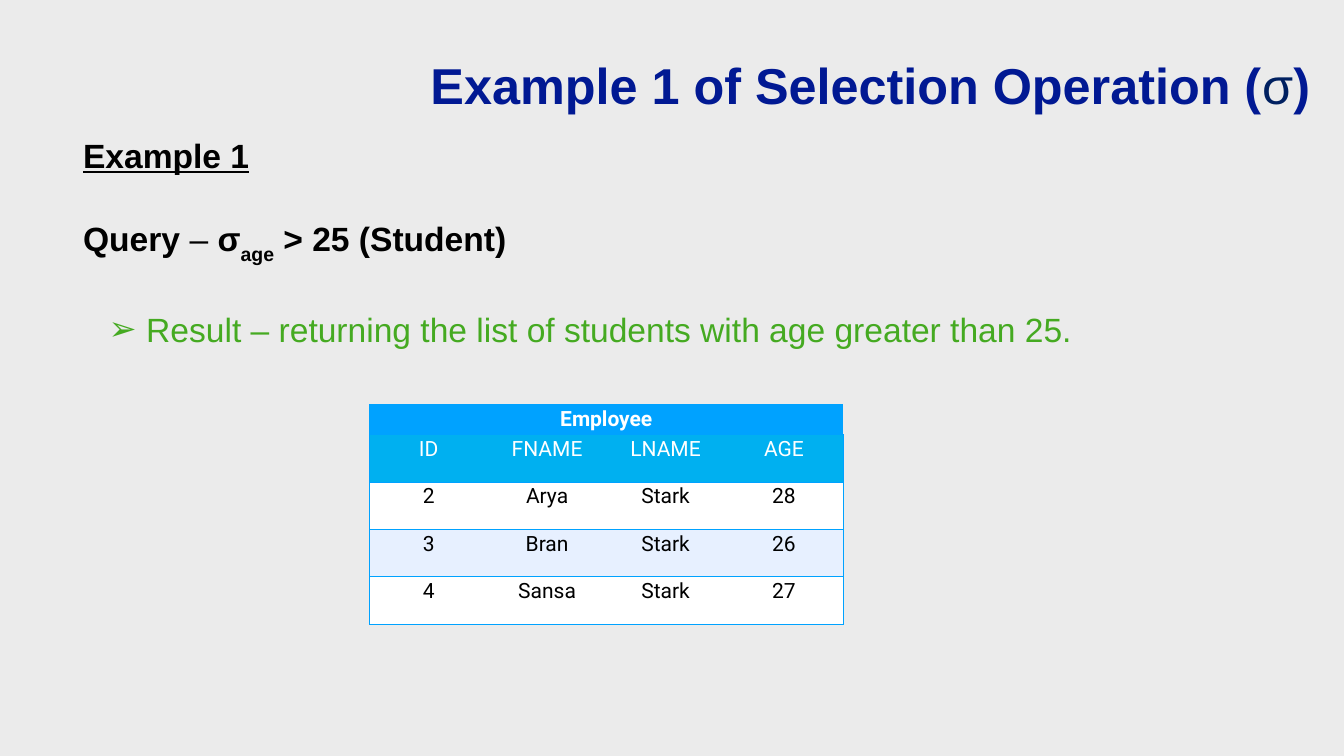
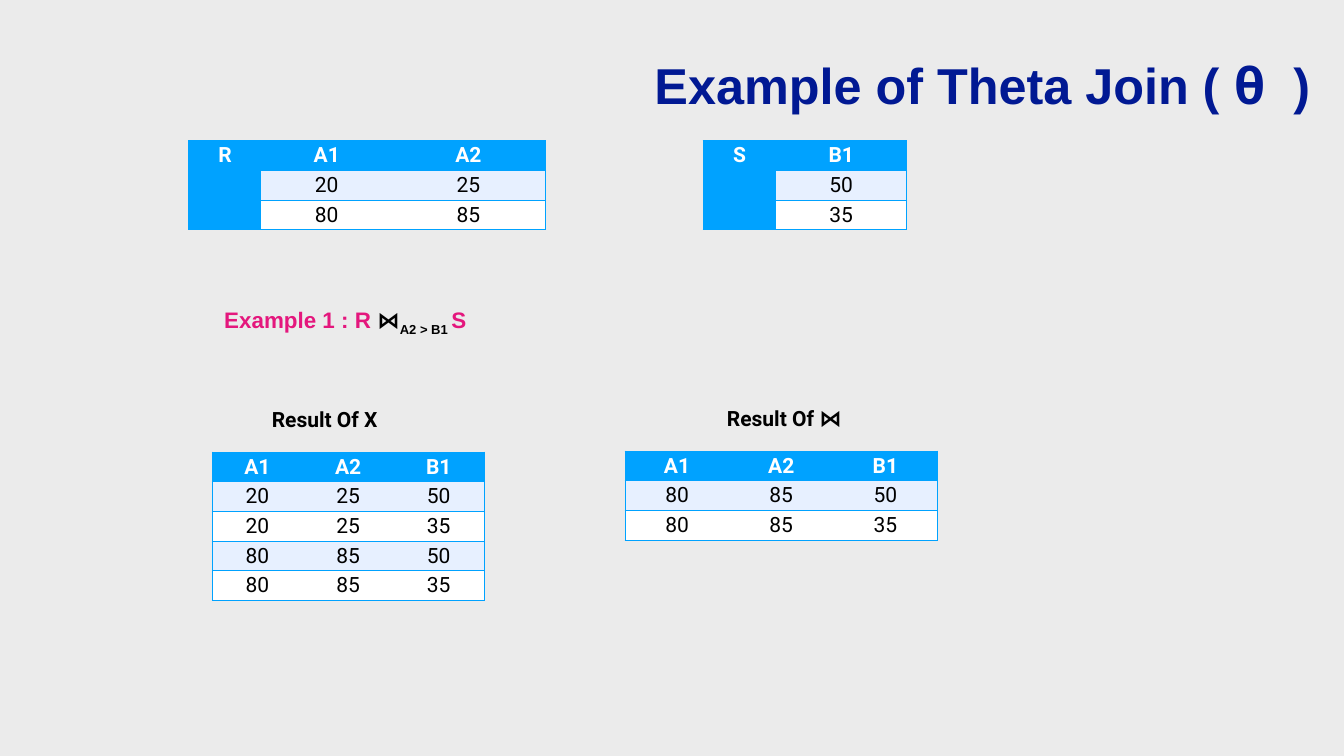
from dataclasses import dataclass

from lxml.etree import SubElement as Sub
from pptx import Presentation
from pptx.dml.color import RGBColor as RGB
from pptx.enum.text import MSO_ANCHOR as Anchor, MSO_AUTO_SIZE as Fit, PP_ALIGN as Align
from pptx.oxml.ns import qn
from pptx.util import Cm, Pt


@dataclass(frozen=True)
class Theme:
    back: str = "EBEBEB"
    navy: str = "011993"
    ink: str = "002060"
    black: str = "000000"
    white: str = "FFFFFF"
    green: str = "45AA21"
    pink: str = "E4177D"
    blue: str = "00A2FF"
    sky: str = "00B0F0"
    tint: str = "E7F0FF"
    title: int = 72
    body: int = 48
    note: int = 32
    cell: int = 30
    main: str = "Arial"
    grid: str = "Roboto"
    greek: str = "Karla"


T = Theme()
TITLE = dict(name=T.main, size=T.title, bold=True, color=T.navy)
BODY = dict(name=T.main, size=T.body, bold=True, color=T.black)
NOTE = dict(name=T.main, size=T.note, bold=True, color=T.pink)
LABEL = dict(name=T.grid, size=T.cell, bold=True, color=T.black)

SIZE = (67.74, 38.1)
HEAD = (3.94, 2.57, 62.23, 3.35)
PAD = 0.14
ROW = 1.27

SLIDES = [
    dict(
        title=[
            ("Example 1 of Selection Operation (", {}),
            ("σ", dict(color=T.ink, bold=False)),
            (")", {}),
        ],
        texts=[
            dict(box=(3.94, 6.58, 56.64, 14.63), style=BODY, gap=58, line=1.05, paras=[
                [("Example 1", dict(underline=True))],
                [
                    ("Query", {}),
                    (" – ", dict(bold=False)),
                    ("σ", {}),
                    ("age", dict(baseline=-30000)),
                    (" > 25 (Student)", {}),
                ],
                [("Result – returning the list of students with age greater than 25.",
                  dict(color=T.green, bold=False))],
            ], bullets={2: "➢"}),
        ],
        tables=[
            dict(at=(18.62, 20.4), cols=[5.97] * 4, tall=[1.37] + [2.39] * 4, heads=2,
                 span=(0, 3), rows=[
                     ["Employee"],
                     ["ID", "FNAME", "LNAME", "AGE"],
                     ["2", "Arya", "Stark", "28"],
                     ["3", "Bran", "Stark", "26"],
                     ["4", "Sansa", "Stark", "27"],
                 ]),
        ],
    ),
    dict(
        title=[
            ("Example of Theta Join ( ", {}),
            ("θ", dict(name=T.greek)),
            (" ", dict(spc=2000)),
            (")", {}),
        ],
        texts=[
            dict(box=(13.56, 20.32, 9.19, 1.57), style=LABEL, pad=PAD,
                 paras=[[("Result Of X", {})]]),
            dict(box=(36.5, 20.22, 9.19, 1.65), style=LABEL, pad=PAD,
                 paras=[[("Result Of ", {}), ("⋈", dict(size=T.note))]]),
            dict(box=(11.05, 15.32, 13, 1.63), style=NOTE, wrap=False, paras=[[
                ("Example 1 : R ", {}),
                ("⋈", dict(color=T.black)),
                ("A2 > B1 ", dict(color=T.black, baseline=-25000)),
                ("S", {}),
            ]]),
        ],
        tables=[
            dict(at=(9.5, 7.09), cols=[3.68, 6.58, 7.7], span=(2, 0), rows=[
                ["R", "A1", "A2"], ["", "20", "25"], ["", "80", "85"]]),
            dict(at=(35.43, 7.09), cols=[3.68, 6.58], span=(2, 0), rows=[
                ["S", "B1"], ["", "50"], ["", "35"]]),
            dict(at=(10.69, 22.78), cols=[4.57] * 3, rows=[
                ["A1", "A2", "B1"],
                ["20", "25", "50"],
                ["20", "25", "35"],
                ["80", "85", "50"],
                ["80", "85", "35"],
            ]),
            dict(at=(31.5, 22.73), cols=[5.25] * 3, rows=[
                ["A1", "A2", "B1"], ["80", "85", "50"], ["80", "85", "35"]]),
        ],
    ),
]


def put(obj, vals):
    for key, val in vals.items():
        setattr(obj, key, val)


def write(para, runs, style):
    for text, diff in runs:
        look = {**style, **diff}
        run = para.add_run()
        run.text = text
        for key in ("baseline", "spc"):
            if key in look:
                run.font._element.set(key, str(look.pop(key)))
        run.font.color.rgb = RGB.from_string(look.pop("color"))
        look["size"] = Pt(look["size"])
        put(run.font, look)


def frame(shape, pad=None, wrap=True):
    text = shape.text_frame
    put(text, dict(word_wrap=wrap, auto_size=Fit.NONE))
    if pad:
        sides = ("left", "top", "right", "bottom")
        put(text, {f"margin_{side}": Cm(pad) for side in sides})
        text.vertical_anchor = Anchor.MIDDLE
    return text


def add_title(slide, runs):
    shape = slide.shapes.title
    put(shape, dict(zip(("left", "top", "width", "height"), map(Cm, HEAD))))
    para = frame(shape, PAD).paragraphs[0]
    para.alignment = Align.RIGHT
    write(para, runs, TITLE)


def add_text(slide, box, style, paras, pad=None, wrap=True, gap=0, line=1.0, bullets={}):
    text = frame(slide.shapes.add_textbox(*map(Cm, box)), pad, wrap)
    for i, runs in enumerate(paras):
        para = text.add_paragraph() if i else text.paragraphs[0]
        para.line_spacing = line
        if i:
            para.space_before = Pt(gap)
        if i in bullets:
            props = para._p.get_or_add_pPr()
            props.set("marL", str(Cm(3.18)))
            props.set("indent", str(Cm(-1.9)))
            Sub(props, qn("a:buFont"), typeface=T.main)
            Sub(props, qn("a:buChar"), char=bullets[i])
        write(para, runs, style)


def edge(cell, sides):
    props = cell._tc.get_or_add_tcPr()
    for side in "LRTB":
        line = Sub(props, qn(f"a:ln{side}"), w=str(Pt(1)))
        if side in sides:
            fill = Sub(line, qn("a:solidFill"))
            Sub(fill, qn("a:srgbClr"), val=T.blue)
        else:
            Sub(line, qn("a:noFill"))


def add_table(slide, at, cols, rows, tall=None, heads=1, span=None):
    tall = tall or [ROW] * len(rows)
    wide = len(cols)
    spot = map(Cm, (*at, sum(cols), sum(tall)))
    table = slide.shapes.add_table(len(rows), wide, *spot).table
    put(table, dict(first_row=False, horz_banding=False))
    for col, width in zip(table.columns, cols):
        col.width = Cm(width)
    for row, height in zip(table.rows, tall):
        row.height = Cm(height)
    if span:
        table.cell(0, 0).merge(table.cell(*span))
    for r, row in enumerate(rows):
        for c in range(wide):
            cell = table.cell(r, c)
            side = bool(span and span[0] and c == 0)
            edge(cell, "TB" + "L" * (c == 0) + "R" * (c == wide - 1))
            if r == 0 or side:
                fill = T.blue
            elif r < heads:
                fill = T.sky
            else:
                fill = T.tint if r % 2 else T.white
            cell.fill.solid()
            cell.fill.fore_color.rgb = RGB.from_string(fill)
            if c < len(row) and row[c]:
                para = cell.text_frame.paragraphs[0]
                para.alignment = Align.CENTER
                color = T.white if r < heads else T.black
                write(para, [(row[c], dict(bold=r == 0, color=color))], LABEL)


def main():
    deck = Presentation()
    put(deck, dict(slide_width=Cm(SIZE[0]), slide_height=Cm(SIZE[1])))
    back = deck.slide_master.background.fill
    back.solid()
    back.fore_color.rgb = RGB.from_string(T.back)
    for page in SLIDES:
        slide = deck.slides.add_slide(deck.slide_layouts[5])
        add_title(slide, page["title"])
        for grid in page["tables"]:
            add_table(slide, **grid)
        for text in page["texts"]:
            add_text(slide, **text)
    deck.save("out.pptx")


if __name__ == "__main__":
    main()
